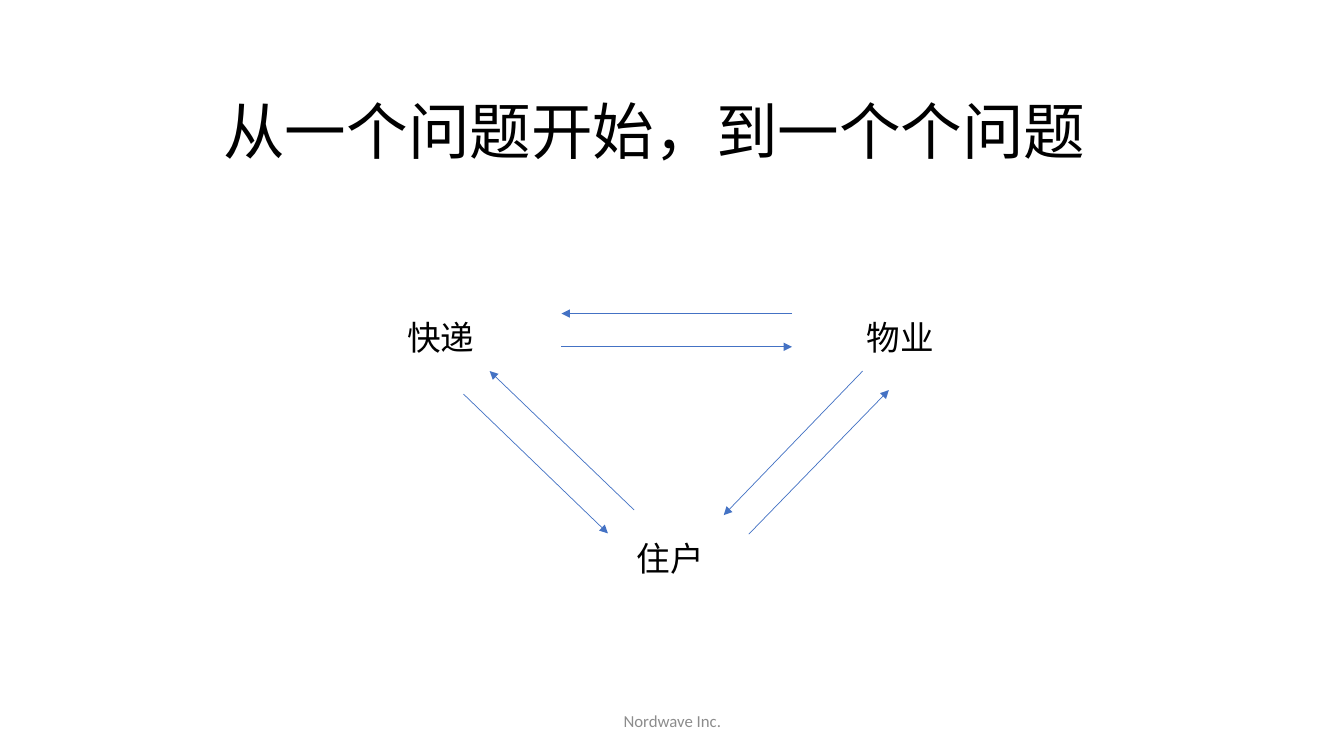
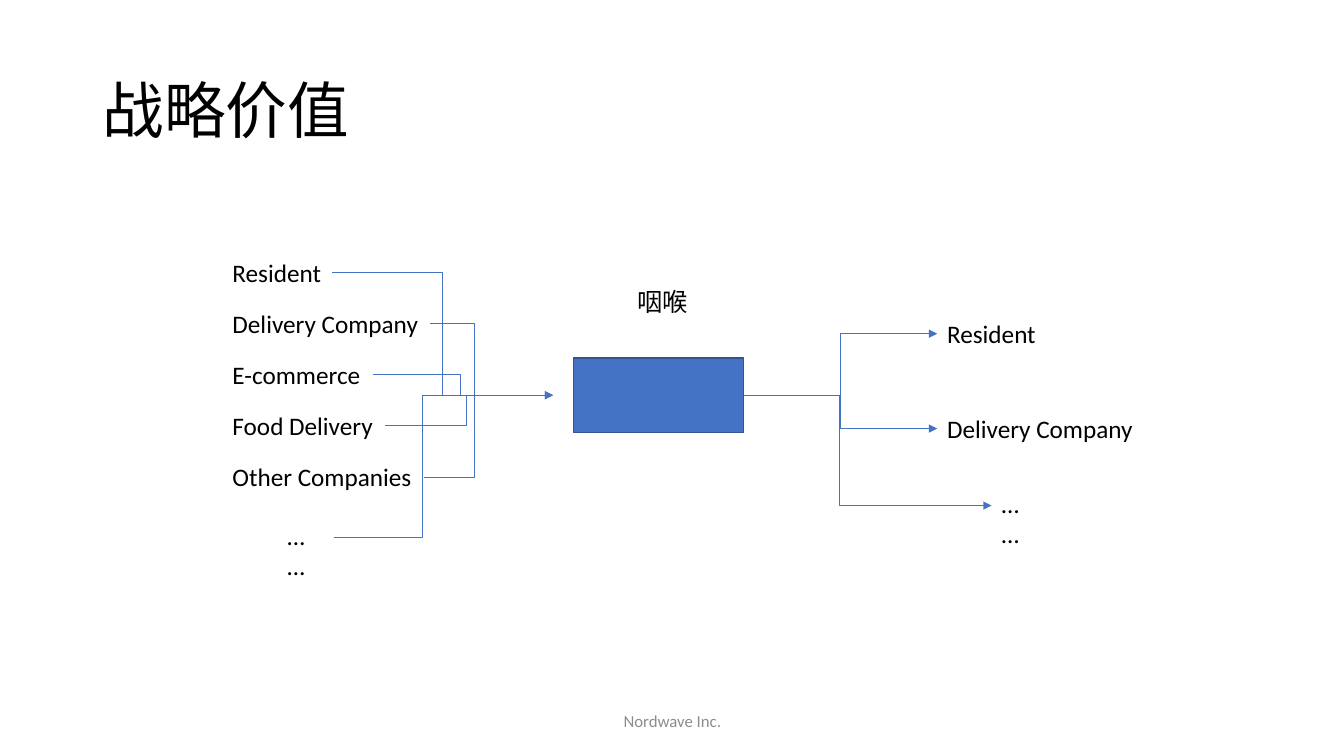
"""Build two slides: a triangle of questions and a strategic value flow."""
from dataclasses import dataclass
from typing import Optional

from lxml.etree import SubElement
from pptx import Presentation
from pptx.dml.color import RGBColor
from pptx.enum.shapes import MSO_CONNECTOR as Connector, MSO_SHAPE as Preset
from pptx.enum.text import MSO_ANCHOR as Anchor, MSO_AUTO_SIZE as AutoSize, PP_ALIGN as Align
from pptx.oxml.ns import qn
from pptx.slide import Slide
from pptx.util import Cm, Pt

BLACK = RGBColor(0x00, 0x00, 0x00)
GRAY = RGBColor(0x8C, 0x8C, 0x8C)
BLUE = RGBColor(0x44, 0x72, 0xC4)
DARK_BLUE = RGBColor(0x32, 0x54, 0x91)
FONT = "Calibri"
FOOTER = "Nordwave Inc."
ELLIPSIS = "……"


@dataclass(frozen=True)
class Box:
    left: float
    top: float
    width: float
    height: float

    @property
    def right(self) -> float:
        return self.left + self.width

    @property
    def middle(self) -> float:
        return self.top + self.height / 2

    def lengths(self) -> tuple[Cm, Cm, Cm, Cm]:
        return Cm(self.left), Cm(self.top), Cm(self.width), Cm(self.height)


@dataclass(frozen=True)
class Label:
    text: str
    box: Box
    size: float = 18
    stacked: bool = False


@dataclass(frozen=True)
class Wire:
    start: tuple[float, float]
    end: tuple[float, float]
    preset: str = "bentConnector3"
    bend: Optional[float] = None
    head: bool = True


def add_text(slide: Slide, text: str, box: Box, *, size: float = 18,
             color: RGBColor = BLACK, align: Align = Align.LEFT,
             anchor: Anchor = Anchor.TOP, wrap: bool = True,
             line_spacing: float = 1.0, stacked: bool = False) -> None:
    shape = slide.shapes.add_textbox(*box.lengths())
    frame = shape.text_frame
    frame.word_wrap = wrap
    frame.auto_size = AutoSize.NONE if wrap else AutoSize.SHAPE_TO_FIT_TEXT
    frame.vertical_anchor = anchor
    if stacked:
        frame._txBody.bodyPr.set("vert", "wordArtVert")
    paragraph = frame.paragraphs[0]
    paragraph.alignment = align
    paragraph.line_spacing = line_spacing
    run = paragraph.add_run()
    run.text = text
    run.font.name = FONT
    run.font.size = Pt(size)
    run.font.color.rgb = color


def add_label(slide: Slide, label: Label) -> None:
    add_text(slide, label.text, label.box, size=label.size, wrap=False,
             stacked=label.stacked)


def add_wire(slide: Slide, wire: Wire) -> None:
    kind = Connector.STRAIGHT if wire.preset == "line" else Connector.ELBOW
    points = (Cm(value) for value in wire.start + wire.end)
    connector = slide.shapes.add_connector(kind, *points)
    connector.line.color.rgb = BLUE
    connector.line.width = Pt(0.5)
    properties = connector._element.spPr
    geometry = properties.find(qn("a:prstGeom"))
    geometry.set("prst", wire.preset)
    if wire.bend is not None:
        SubElement(geometry.find(qn("a:avLst")), qn("a:gd"), name="adj1",
                   fmla=f"val {round(wire.bend * 100000)}")
    if wire.head:
        SubElement(properties.find(qn("a:ln")), qn("a:tailEnd"), type="triangle")
    SubElement(properties, qn("a:effectLst"))


def add_slide(presentation: Presentation, title: str, title_box: Box,
              align: Align) -> Slide:
    slide = presentation.slides.add_slide(presentation.slide_layouts[6])
    add_text(slide, title, title_box, size=44, align=align,
             anchor=Anchor.MIDDLE, line_spacing=0.9)
    add_text(slide, FOOTER, Box(11.23, 17.65, 11.43, 1.02), size=12, color=GRAY,
             align=Align.CENTER, anchor=Anchor.MIDDLE)
    return slide


def build_questions(presentation: Presentation) -> None:
    slide = add_slide(presentation, "从一个问题开始，到一个个问题",
                      Box(5.33, 1.98, 22.35, 2.84), Align.CENTER)
    for text, left, top in (("住户", 15.8, 13.44), ("物业", 21.59, 7.87),
                            ("快递", 10.01, 7.87)):
        add_label(slide, Label(text, Box(left, top, 2.24, 1.27), size=24))
    for start, end in (
        ((14.15, 8.74), (19.96, 8.74)),
        ((19.96, 7.9), (14.15, 7.9)),
        ((11.68, 9.93), (15.32, 13.44)),
        ((15.98, 12.85), (12.34, 9.35)),
        ((21.74, 9.35), (18.24, 12.98)),
        ((18.87, 13.46), (22.4, 9.83)),
    ):
        add_wire(slide, Wire(start, end, preset="line"))


def build_value(presentation: Presentation) -> None:
    slide = add_slide(presentation, "战略价值",
                      Box(2.34, 1.02, 29.21, 3.68), Align.LEFT)
    throat = Box(14.45, 9.02, 4.29, 1.88)
    rectangle = slide.shapes.add_shape(Preset.RECTANGLE, *throat.lengths())
    rectangle.shadow.inherit = False
    rectangle.fill.solid()
    rectangle.fill.fore_color.rgb = BLUE
    rectangle.line.color.rgb = DARK_BLUE
    rectangle.line.width = Pt(1)
    add_label(slide, Label("咽喉", Box(15.82, 7.09, 1.8, 1.02)))

    names = (("Resident", 2.77), ("Delivery Company", 5.23), ("E-commerce", 3.78),
             ("Food Delivery", 4.09), ("Other Companies", 5.08))
    inputs = [Label(text, Box(5.61, 6.35 + 1.29 * row, width, 1.02))
              for row, (text, width) in enumerate(names)]
    inputs.append(Label(ELLIPSIS, Box(6.99, 12.98, 1.42, 1.14), stacked=True))
    routes = (
        (13.94, "bentConnector3", None, True),
        (11.96, "bentConnector2", None, False),
        (13.79, "bentConnector3", None, False),
        (13.79, "bentConnector3", None, False),
        (11.96, "bentConnector2", None, False),
        (13.94, "bentConnector3", 0.404, True),
    )
    for label, (end, preset, bend, head) in zip(inputs, routes):
        add_label(slide, label)
        add_wire(slide, Wire((label.box.right, label.box.middle),
                             (end, throat.middle), preset, bend, head))

    outputs = (
        (Label("Resident", Box(23.62, 7.9, 2.77, 1.02)), None),
        (Label("Delivery Company", Box(23.62, 10.29, 5.23, 1.02)), None),
        (Label(ELLIPSIS, Box(24.99, 12.17, 1.42, 1.14), stacked=True), 0.387),
    )
    for label, bend in outputs:
        add_label(slide, label)
        add_wire(slide, Wire((throat.right, throat.middle),
                             (label.box.left, label.box.middle), bend=bend))


def main() -> None:
    presentation = Presentation()
    presentation.slide_width = Cm(33.87)
    presentation.slide_height = Cm(19.05)
    build_questions(presentation)
    build_value(presentation)
    presentation.save("out.pptx")


main()
